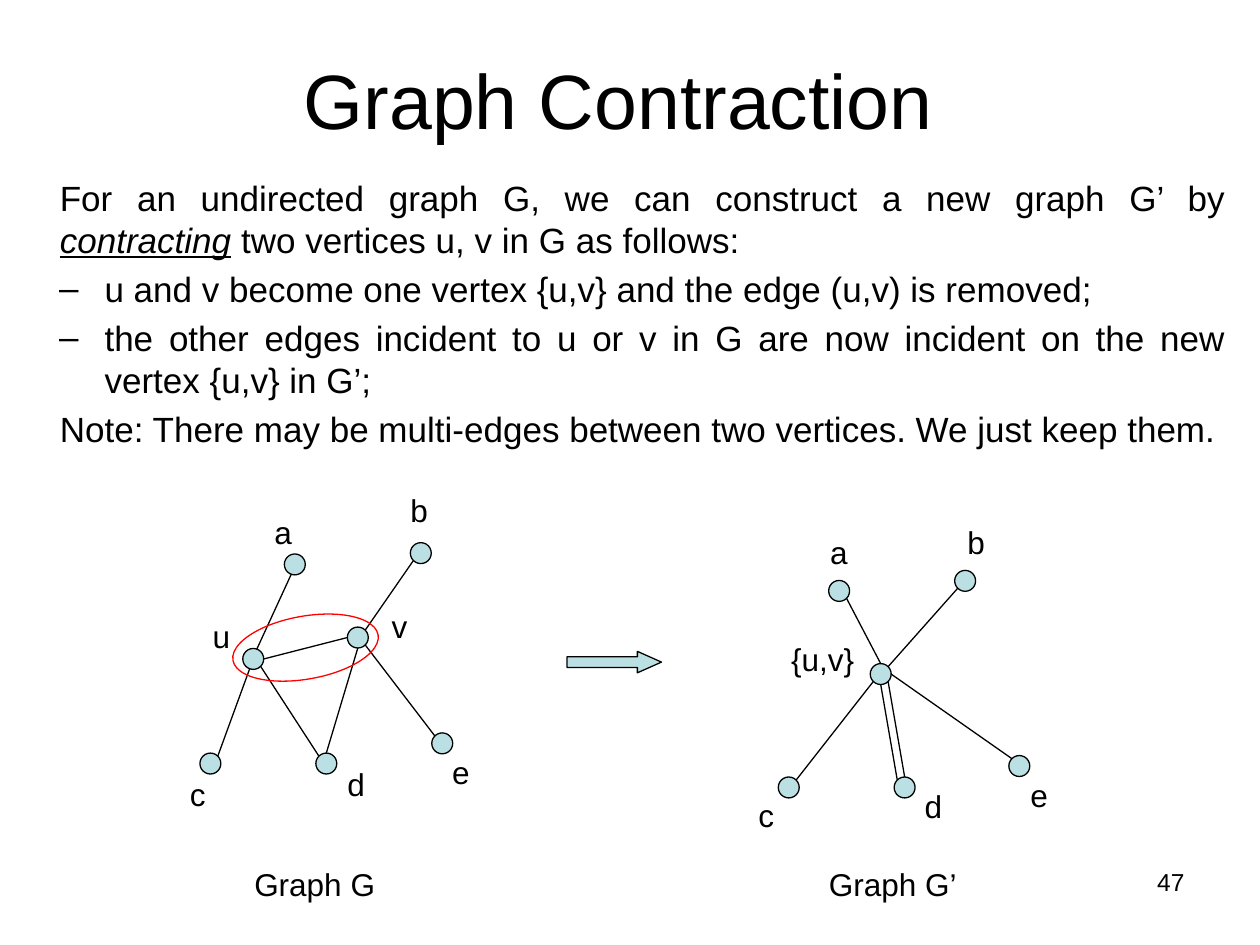
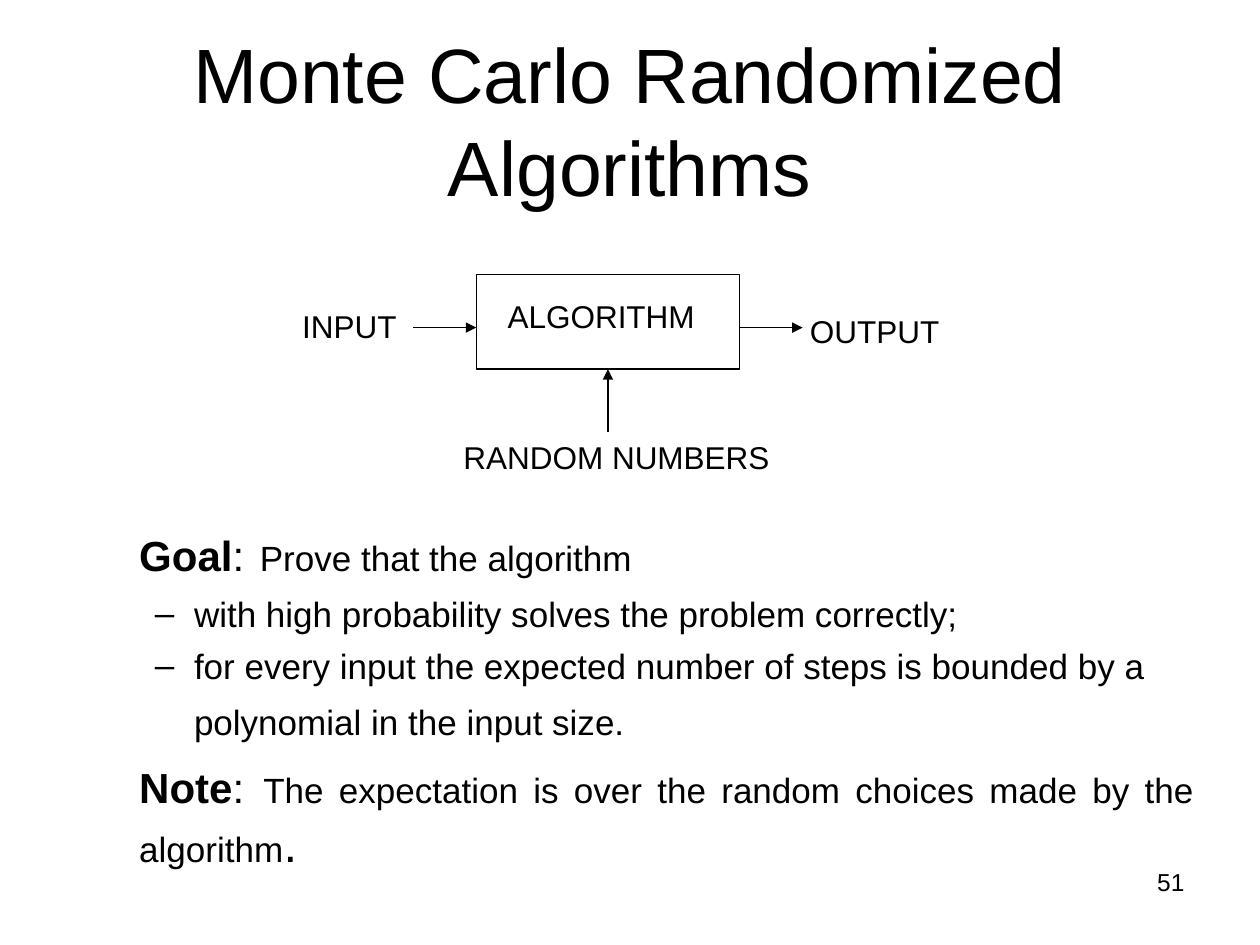
from math import cos, radians, sin

from lxml import etree
from pptx import Presentation
from pptx.dml.color import RGBColor
from pptx.enum.shapes import MSO_CONNECTOR, MSO_SHAPE
from pptx.enum.text import MSO_ANCHOR, MSO_AUTO_SIZE, PP_ALIGN
from pptx.oxml.ns import qn
from pptx.util import Inches, Pt

STRAIGHT = MSO_CONNECTOR.STRAIGHT
OVAL, RECTANGLE, RIGHT_ARROW = MSO_SHAPE.OVAL, MSO_SHAPE.RECTANGLE, MSO_SHAPE.RIGHT_ARROW
TOP, MIDDLE = MSO_ANCHOR.TOP, MSO_ANCHOR.MIDDLE
LEFT, CENTER, RIGHT, JUSTIFY = PP_ALIGN.LEFT, PP_ALIGN.CENTER, PP_ALIGN.RIGHT, PP_ALIGN.JUSTIFY
FIXED_SIZE = MSO_AUTO_SIZE.NONE

SLIDE_WIDTH, SLIDE_HEIGHT = Inches(10), Inches(7.5)
COLUMNS, ROWS = 100, 75
FONT = "Arial"
INK, VERTEX_FILL, MARK = "000000", "BBE0E3", "FF0000"
LINE_WIDTH = 0.75
TITLE_SIZE, BODY_SIZE, LABEL_SIZE, NUMBER_SIZE = 44, 20, 18, 14
RADIUS = 0.83
LETTER_WIDTH, LABEL_HEIGHT = 3.4, 4

# name: (centre column, centre row, label column, label row)
GRAPH = {
    "a": (23.4, 44.8, 20.8, 40.2), "b": (33.4, 43.9, 31.6, 38.5),
    "u": (20.1, 52.3, 15.9, 48.5), "v": (28.4, 50.6, 30.1, 47.7),
    "c": (16.7, 60.6, 14.1, 61.0), "d": (25.9, 60.6, 26.6, 60.2),
    "e": (35.1, 59.0, 34.9, 59.3),
}
# (vertex, bearing in degrees from north, vertex, bearing)
GRAPH_EDGES = [
    ("u", 200, "c", 45), ("a", 200, "u", 20), ("v", 180, "d", 0), ("b", 225, "v", 45),
    ("e", 315, "v", 135), ("d", 315, "u", 135), ("v", 270, "u", 90),
]
CONTRACTED = {
    "a": (66.6, 46.9, 64.9, 41.8), "b": (76.6, 46.1, 75.8, 41.0),
    "{u,v}": (69.9, 53.5, 61.8, 50.3),
    "c": (62.6, 62.5, 59.2, 62.7), "d": (71.8, 62.5, 72.4, 62.0),
    "e": (80.9, 60.8, 80.8, 61.1),
}
CONTRACTED_EDGES = [
    ("{u,v}", 225, "c", 45), ("a", 135, "{u,v}", 0), ("{u,v}", 135, "d", 0),
    ("b", 225, "{u,v}", 45), ("e", 315, "{u,v}", 90), ("d", 315, "{u,v}", 180),
]

PLAIN = {}
TERM = {"italic": True, "underline": True}
HEAD = {"size": 24, "bold": True}
COLON = {"size": 24}
BIG, HUGE = {"size": 28}, {"size": 32}

# (alignment, margin in columns, dash bullet and its hanging indent or None, runs)
CONTRACTION_TEXT = [
    (JUSTIFY, 3.75, None, [
        ("For an undirected graph G, we can construct a new graph G’ by ", PLAIN),
        ("contracting", TERM), (" two vertices u, v in G as follows:", PLAIN)]),
    (JUSTIFY, 7.3, 3.6, [
        ("u and v become one vertex {u,v} and the edge (u,v) is removed;", PLAIN)]),
    (JUSTIFY, 7.3, 3.6, [
        ("the other edges incident to u or v in G are now incident on the new "
         "vertex {u,v} in G’;", PLAIN)]),
    (JUSTIFY, 3.75, None, [
        ("Note: There may be multi-edges between two vertices. We just keep them.", PLAIN)]),
]
MONTE_CARLO_TEXT = [
    (JUSTIFY, 3.75, None, [
        ("Goal", HEAD), (":", COLON), (" ", HUGE), ("Prove that the algorithm", PLAIN)]),
    (LEFT, 8.1, 3.1, [("with high probability solves the problem correctly;", PLAIN)]),
    (LEFT, 8.1, 3.1, [
        ("for every input the expected number of steps is bounded by a "
         "polynomial in the input size.", PLAIN), (" ", BIG)]),
    (JUSTIFY, 3.75, None, [
        ("Note", HEAD), (":", COLON), (" ", BIG),
        ("The expectation is over the random choices made by the algorithm", PLAIN),
        (".", BIG)]),
]


def color(value):
    return RGBColor.from_string(value)


def across(columns):
    return int(SLIDE_WIDTH * columns / COLUMNS)


def down(rows):
    return int(SLIDE_HEIGHT * rows / ROWS)


def area(column, row, columns, rows):
    return across(column), down(row), across(columns), down(rows)


def place(shape, column, row, columns, rows):
    shape.left, shape.top, shape.width, shape.height = area(column, row, columns, rows)


def style(span, size, bold=False, italic=False, underline=False):
    font = span.font
    font.name, font.size = FONT, Pt(size)
    font.bold, font.italic, font.underline = bold, italic, underline
    font.color.rgb = color(INK)


def add_title(page, text, column, row):
    title = page.shapes.title
    place(title, column, row, 90, 12.5)
    frame = title.text_frame
    frame.text = text
    frame.auto_size, frame.vertical_anchor = FIXED_SIZE, MIDDLE
    frame.paragraphs[0].alignment = CENTER
    style(frame.paragraphs[0].runs[0], TITLE_SIZE)


def set_bullet(para, margin, hanging):
    properties = para._p.get_or_add_pPr()
    properties.set("marL", str(across(margin)))
    properties.set("indent", str(-across(hanging or 0)))
    if hanging:
        etree.SubElement(properties, qn("a:buChar")).set("char", "–")
    else:
        etree.SubElement(properties, qn("a:buNone"))


def fill_body(page, bounds, paragraphs, gap):
    body = page.placeholders[1]
    place(body, *bounds)
    frame = body.text_frame
    frame.auto_size, frame.vertical_anchor = FIXED_SIZE, TOP
    for index, (alignment, margin, hanging, spans) in enumerate(paragraphs):
        para = frame.add_paragraph() if index else frame.paragraphs[0]
        para.level = 1 if hanging else 0
        set_bullet(para, margin, hanging)
        para.alignment = alignment
        para.space_before = Pt(gap if index else 0)
        for text, look in spans:
            span = para.add_run()
            span.text = text
            style(span, **{"size": BODY_SIZE, **look})


def add_label(page, text, column, row, columns, rows=LABEL_HEIGHT,
              size=LABEL_SIZE, alignment=LEFT):
    box = page.shapes.add_textbox(*area(column, row, columns, rows))
    frame = box.text_frame
    frame.text = text
    frame.word_wrap = False
    frame.paragraphs[0].alignment = alignment
    style(frame.paragraphs[0].runs[0], size)


def add_outline(page, kind, bounds, fill=None, line=INK):
    shape = page.shapes.add_shape(kind, *area(*bounds))
    shape.shadow.inherit = False
    if fill:
        shape.fill.solid()
        shape.fill.fore_color.rgb = color(fill)
    else:
        shape.fill.background()
    shape.line.color.rgb = color(line)
    shape.line.width = Pt(LINE_WIDTH)
    return shape


def add_line(page, start, end, arrow=False):
    line = page.shapes.add_connector(
        STRAIGHT, across(start[0]), down(start[1]), across(end[0]), down(end[1]))
    line.line.color.rgb = color(INK)
    line.line.width = Pt(LINE_WIDTH)
    if arrow:
        etree.SubElement(line.line._get_or_add_ln(), qn("a:tailEnd")).set("type", "triangle")
    etree.SubElement(line._element.spPr, qn("a:effectLst"))
    return line


def rim_point(vertex, bearing):
    """Point on a vertex's circle, with the bearing clockwise from north."""
    angle = radians(bearing)
    return vertex[0] + RADIUS * sin(angle), vertex[1] - RADIUS * cos(angle)


def add_graph(page, vertices, edges):
    for name, (x, y, label_column, label_row) in vertices.items():
        add_outline(page, OVAL, (x - RADIUS, y - RADIUS, 2 * RADIUS, 2 * RADIUS), VERTEX_FILL)
        width = LETTER_WIDTH if len(name) == 1 else 7
        add_label(page, name, label_column, label_row, width)
    for first, first_bearing, second, second_bearing in edges:
        add_line(page, rim_point(vertices[first], first_bearing),
                 rim_point(vertices[second], second_bearing))


def add_page(deck, number):
    page = deck.slides.add_slide(deck.slide_layouts[1])
    add_label(page, number, 71.7, 68.3, 23.3, 5.2, NUMBER_SIZE, RIGHT)
    return page


def build_contraction(deck):
    page = add_page(deck, "47")
    add_title(page, "Graph Contraction", 4.1, 1.6)
    fill_body(page, (0, 13.5, 98.3, 26.7), CONTRACTION_TEXT, gap=4)
    add_graph(page, GRAPH, GRAPH_EDGES)
    contracted_pair = add_outline(page, OVAL, (18.4, 48.9, 11.7, 5), line=MARK)
    contracted_pair.rotation = 350
    becomes = add_outline(page, RIGHT_ARROW, (45, 51.7, 7.5, 1.7), VERTEX_FILL)
    becomes.adjustments[0], becomes.adjustments[1] = 0.5, 1.125
    add_graph(page, CONTRACTED, CONTRACTED_EDGES)
    add_label(page, "Graph G", 19.2, 68.2, 11.6)
    add_label(page, "Graph G’", 64.8, 68.2, 12.2)


def build_monte_carlo(deck):
    page = add_page(deck, "51")
    add_title(page, "Monte Carlo Randomized Algorithms", 5, 3.2)
    fill_body(page, (6.3, 40.4, 89.5, 30), MONTE_CARLO_TEXT, gap=5.6)
    algorithm = add_outline(page, RECTANGLE, (37.8, 21.8, 20.9, 7.5))
    add_label(page, "ALGORITHM", 39.3, 23.1, 16.9)
    add_label(page, "INPUT", 23, 23.9, 9.5)
    add_label(page, "OUTPUT", 63.3, 24.3, 12.3)
    add_label(page, "RANDOM NUMBERS", 35.8, 34.3, 26.3)
    for start in (32.8, 58.7):
        add_line(page, (start, 26), (start + 5, 26), arrow=True)
    random_arrow = add_line(page, (48.25, 34.3), (48.25, 29.3), arrow=True)
    random_arrow.end_connect(algorithm, 2)


def main():
    deck = Presentation()
    deck.slide_width, deck.slide_height = SLIDE_WIDTH, SLIDE_HEIGHT
    build_contraction(deck)
    build_monte_carlo(deck)
    deck.save("out.pptx")


if __name__ == "__main__":
    main()
